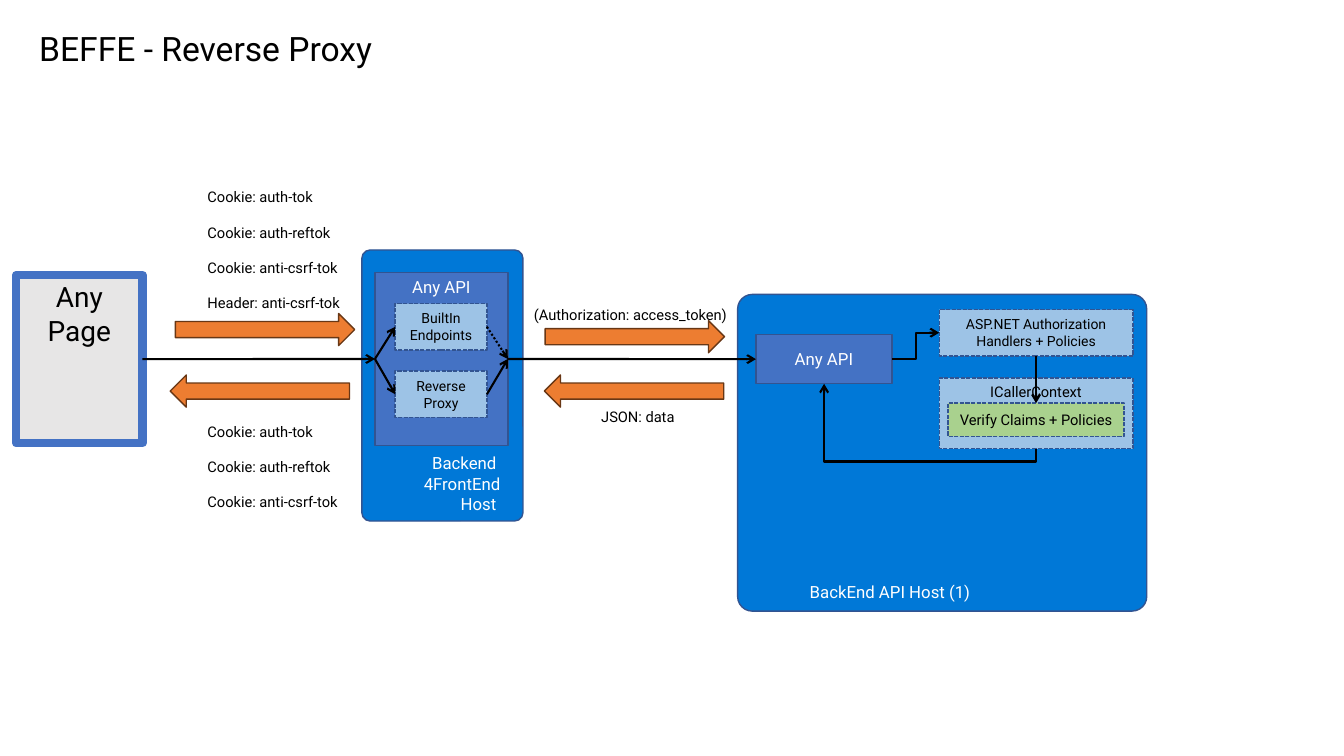
from lxml.etree import SubElement
from pptx import Presentation
from pptx.dml.color import RGBColor
from pptx.enum.dml import MSO_LINE
from pptx.enum.shapes import MSO_CONNECTOR, MSO_SHAPE
from pptx.enum.text import MSO_ANCHOR, PP_ALIGN
from pptx.oxml.ns import qn
from pptx.util import Cm, Pt


def rgb(value):
    return RGBColor.from_string(value)


def write(sp, lines, size, color, align=PP_ALIGN.LEFT, anchor=MSO_ANCHOR.TOP,
          wrap=True, gap=0, indents=()):
    tf = sp.text_frame
    for name, value in {"word_wrap": wrap, "vertical_anchor": anchor}.items():
        setattr(tf, name, value)
    for i, line in enumerate(lines):
        p = tf.paragraphs[0] if i == 0 else tf.add_paragraph()
        p.alignment = align
        if indents:
            p._p.get_or_add_pPr().set("marL", str(Cm(indents[i])))
        if i and gap:
            p.space_before = Pt(gap)
        r = p.add_run()
        r.text = line
        for name, value in {"name": "Roboto", "size": Pt(size)}.items():
            setattr(r.font, name, value)
        r.font.color.rgb = rgb(color)


prs = Presentation()
prs.slide_width, prs.slide_height = Cm(33.87), Cm(19.05)
s = prs.slides.add_slide(prs.slide_layouts[6])

BLACK, WHITE, NAVY = "000000", "FFFFFF", "325491"
HOST, API, STEP, ORANGE = "0078D7", "4472C4", "9DC3E6", "ED7D31"
RECT, ROUND = MSO_SHAPE.RECTANGLE, MSO_SHAPE.ROUNDED_RECTANGLE
RIGHT, LEFT = MSO_SHAPE.RIGHT_ARROW, MSO_SHAPE.LEFT_ARROW
TOP, MIDDLE, BOTTOM = MSO_ANCHOR.TOP, MSO_ANCHOR.MIDDLE, MSO_ANCHOR.BOTTOM
DASH = MSO_LINE.SQUARE_DOT

host = {"kind": ROUND, "fill": HOST, "size": 12, "color": WHITE,
        "align": PP_ALIGN.LEFT, "anchor": BOTTOM}
api = {"fill": API, "size": 12, "color": WHITE}
step = {"fill": STEP, "dash": DASH, "size": 10}
arrow = {"fill": ORANGE, "line": "683715"}

boxes = [
    ("api_host", (18.59, 7.42, 10.31, 7.98), ["BackEnd API Host (1)"],
     {**host, "adj": 0.046, "indents": [1.46]}),
    ("backend_api", (19.05, 8.43, 3.43, 1.24), ["Any API"], api),
    ("bff_host", (9.12, 6.3, 4.06, 6.83), ["Backend", "4FrontEnd", "Host"],
     {**host, "adj": 0.051, "indents": [1.46, 1.25, 2.18]}),
    ("bff_api", (9.45, 6.86, 3.35, 4.37), ["Any API"], {**api, "anchor": TOP}),
    ("handlers", (23.67, 7.8, 4.88, 1.17),
     ["ASP.NET Authorization Handlers + Policies"], step),
    ("page", (0.41, 6.93, 3.18, 4.24), ["Any Page"],
     {"fill": "E7E6E6", "line": API, "weight": 6, "size": 20, "anchor": TOP}),
    ("request_out", (13.74, 8.08, 4.52, 0.81), [], {**arrow, "kind": RIGHT}),
    ("data_back", (13.72, 9.45, 4.52, 0.81), [], {**arrow, "kind": LEFT}),
    ("caller", (23.67, 9.53, 4.88, 1.78), ["ICallerContext"],
     {**step, "size": 10.5, "anchor": TOP}),
    ("verify", (23.89, 10.16, 4.44, 0.84), ["Verify Claims + Policies"],
     {**step, "fill": "A9D18E", "size": 10.5}),
    ("cookies_back", (4.29, 9.45, 4.52, 0.81), [], {**arrow, "kind": LEFT}),
    ("cookies_out", (4.42, 7.9, 4.52, 0.81), [], {**arrow, "kind": RIGHT}),
    ("builtin", (9.96, 7.65, 2.31, 1.17), ["BuiltIn Endpoints"], step),
    ("proxy", (9.96, 9.35, 2.31, 1.17), ["Reverse", "Proxy"], step),
]
shapes = {}
for name, place, lines, fmt in boxes:
    sp = s.shapes.add_shape(fmt.get("kind", RECT), *map(Cm, place))
    sp.shadow.inherit = False
    sp.fill.solid()
    sp.fill.fore_color.rgb = rgb(fmt["fill"])
    sp.line.color.rgb = rgb(fmt.get("line", NAVY))
    sp.line.width = Pt(fmt.get("weight", 1))
    if "dash" in fmt:
        sp.line.dash_style = fmt["dash"]
    if "adj" in fmt:
        sp.adjustments[0] = fmt["adj"]
    if lines:
        write(sp, lines, fmt["size"], fmt.get("color", BLACK),
              fmt.get("align", PP_ALIGN.CENTER), fmt.get("anchor", MIDDLE),
              indents=fmt.get("indents", ()))
    shapes[name] = sp

STRAIGHT, ELBOW = MSO_CONNECTOR.STRAIGHT, MSO_CONNECTOR.ELBOW
links = [
    ("page", 3, "bff_api", 1, STRAIGHT, None),
    ("bff_api", 3, "backend_api", 1, STRAIGHT, None),
    ("backend_api", 3, "handlers", 1, ELBOW, None),
    ("handlers", 2, "verify", 0, STRAIGHT, None),
    ("bff_api", 1, "builtin", 1, STRAIGHT, None),
    ("bff_api", 1, "proxy", 1, STRAIGHT, None),
    ("builtin", 3, "bff_api", 3, STRAIGHT, MSO_LINE.ROUND_DOT),
    ("proxy", 3, "bff_api", 3, STRAIGHT, None),
    ("caller", 2, "backend_api", 2, ELBOW, None),
]
for start, start_side, end, end_side, kind, dash in links:
    link = s.shapes.add_connector(kind, 0, 0, 0, 0)
    link.begin_connect(shapes[start], start_side)
    link.end_connect(shapes[end], end_side)
    link.line.color.rgb = rgb(BLACK)
    link.line.width = Pt(1.5)
    if dash:
        link.line.dash_style = dash
    SubElement(link.line._get_or_add_ln(), qn("a:tailEnd"), type="arrow")
    SubElement(link._element.spPr, qn("a:effectLst"))

return_place = {"left": 22.62, "top": 7.82, "width": 1.64, "height": 5.34}
for name, value in return_place.items():
    setattr(link, name, Cm(value))
xfrm = link._element.spPr.find(qn("a:xfrm"))
for name, value in {"rot": "5400000", "flipH": "1", "flipV": "0"}.items():
    xfrm.set(name, value)
guides = link._element.spPr.find(qn("a:prstGeom")).find(qn("a:avLst"))
SubElement(guides, qn("a:gd"), name="adj1", fmla="val -19500")

cookies = ["Cookie: auth-tok", "Cookie: auth-reftok", "Cookie: anti-csrf-tok"]
labels = [
    ((0.74, 0.58, 9.02, 1.27), ["BEFFE - Reverse Proxy"], 24, PP_ALIGN.LEFT),
    ((14.88, 10.16, 2.39, 0.71), ["JSON: data"], 10.5, PP_ALIGN.CENTER),
    ((13.16, 7.57, 5.46, 0.71), ["(Authorization: access_token)"], 10.5,
     PP_ALIGN.CENTER),
    ((4.98, 4.62, 3.89, 3.4), cookies + ["Header: anti-csrf-tok"], 10.5,
     PP_ALIGN.LEFT),
    ((4.98, 10.52, 3.84, 2.49), cookies, 10.5, PP_ALIGN.LEFT),
]
for place, lines, size, align in labels:
    sp = s.shapes.add_textbox(*map(Cm, place))
    write(sp, lines, size, BLACK, align, wrap=False, gap=12.6)

prs.save("out.pptx")
